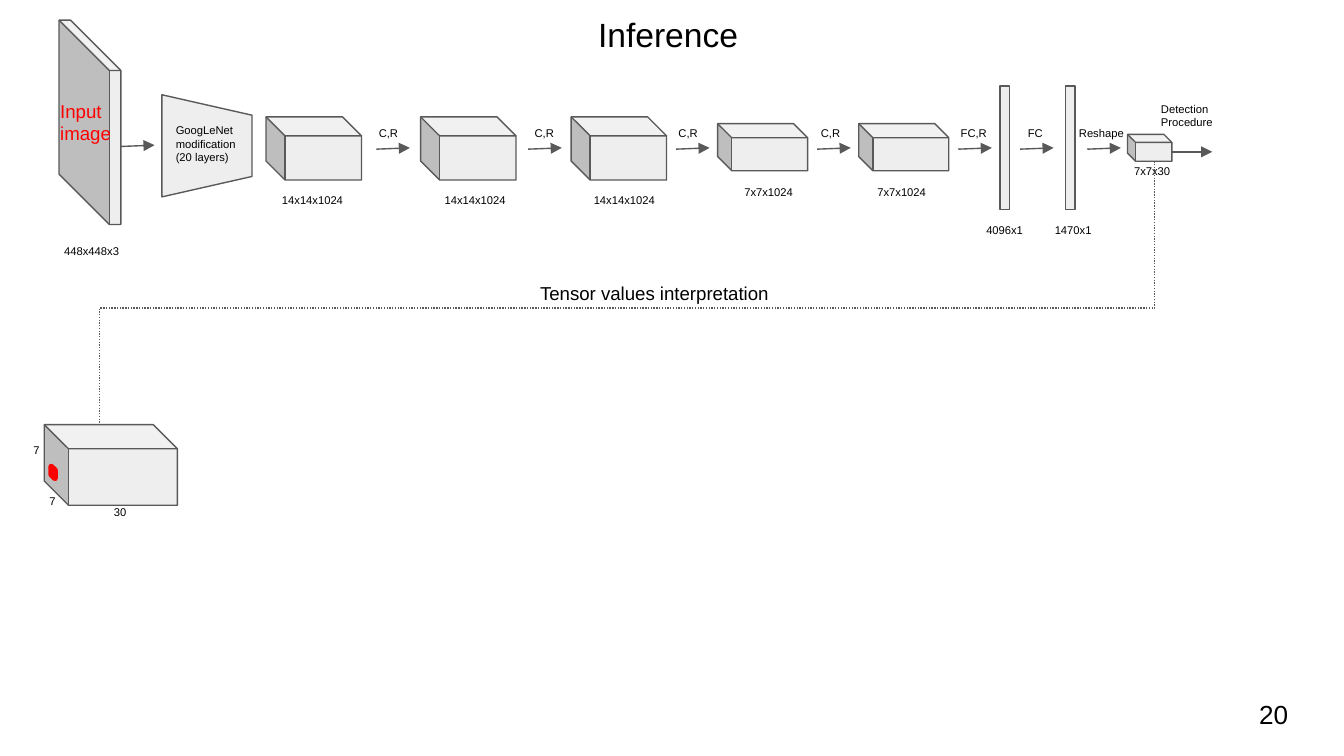
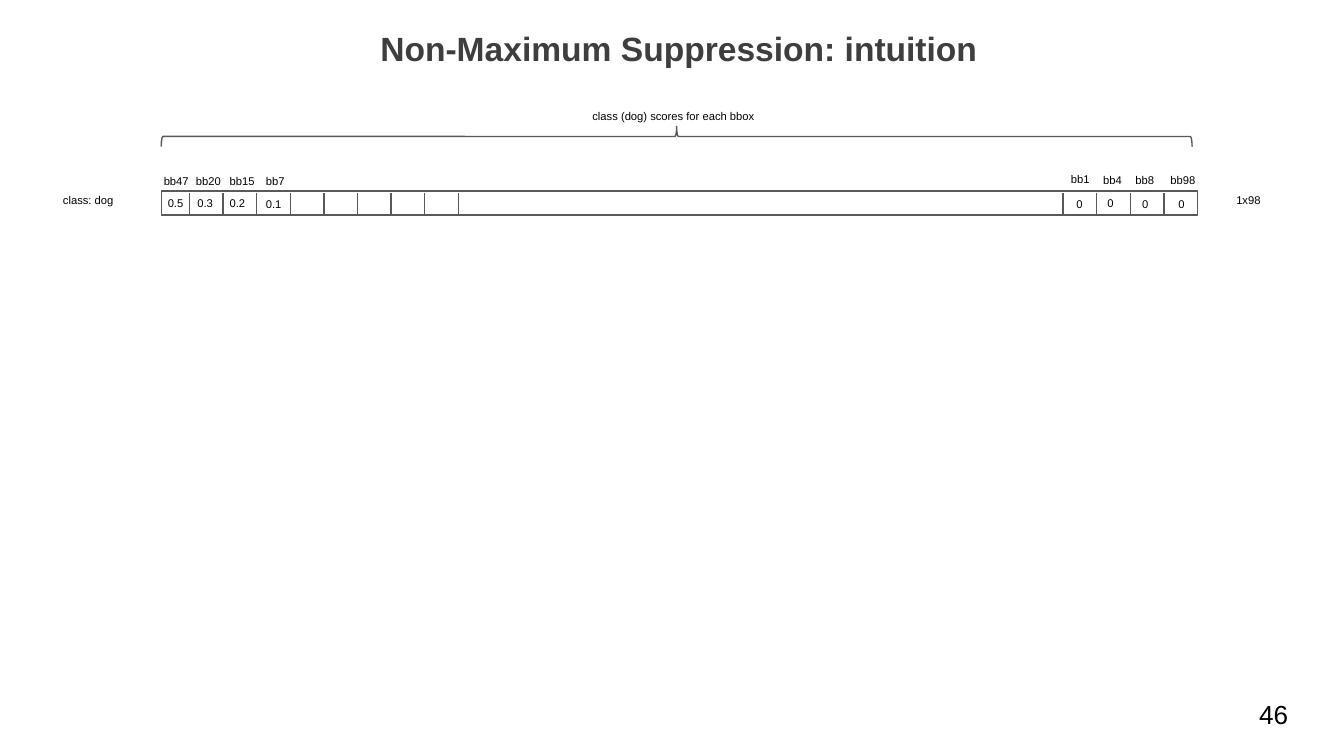
import pptx
import pptx.dml.color
import pptx.enum.dml
import pptx.enum.shapes
import pptx.enum.text
import pptx.oxml.ns
import pptx.util
from lxml import etree

SHAPES = pptx.enum.shapes.MSO_SHAPE
LINKS = pptx.enum.shapes.MSO_CONNECTOR
ANCHORS = pptx.enum.text.MSO_ANCHOR
qn = pptx.oxml.ns.qn

COLUMNS, ROWS = 100, 56.25
WIDTH, HEIGHT = pptx.util.Inches(10), pptx.util.Inches(5.625)


def rgb(value):
    return pptx.dml.color.RGBColor.from_string(value)


def assign(target, values):
    for key, value in values.items():
        setattr(target, key, value)


class Deck:
    """Holds the style and the slide being drawn; lengths are grid columns and rows."""

    INK, LINE, FACE, ACCENT, HEADING = "000000", "595959", "EEEEEE", "FF0000", "3E3E3E"
    FONT, SMALL, MEDIUM, NUMBER, TITLE = "Arial", 6, 10, 14, 18

    def __init__(self):
        self.prs = pptx.Presentation()
        assign(self.prs, {"slide_width": WIDTH, "slide_height": HEIGHT})
        self.slide = None

    def grid(self, *lengths):
        """Turn alternating columns and rows into slide lengths."""
        cells = (WIDTH / COLUMNS, HEIGHT / ROWS)
        return [round(length * cells[i % 2]) for i, length in enumerate(lengths)]

    def start(self, title, box, number, color=INK, bold=False, anchor=ANCHORS.TOP, **spacing):
        """Add a slide with its title and page number."""
        self.slide = self.prs.slides.add_slide(self.prs.slide_layouts[5])
        heading = self.slide.shapes.title
        assign(heading, dict(zip(("left", "top", "width", "height"), self.grid(*box))))
        self.fill_text(heading, title, self.TITLE, color, anchor, bold, **spacing)
        self.text(number, 92.7, 51, 6, 4.3, self.NUMBER, anchor=ANCHORS.MIDDLE)

    def fill_text(self, holder, words, size, color, anchor, bold=False, **spacing):
        frame = holder.text_frame
        frame.text = words
        margins = dict.fromkeys(("margin_left", "margin_top", "margin_right", "margin_bottom"),
                                pptx.util.Inches(0.1))
        assign(frame, {"word_wrap": True, "vertical_anchor": anchor,
                       "auto_size": pptx.enum.text.MSO_AUTO_SIZE.NONE, **margins})
        for paragraph in frame.paragraphs:
            assign(paragraph, {"alignment": pptx.enum.text.PP_ALIGN.LEFT, **spacing})
            assign(paragraph.font, {"name": self.FONT, "size": pptx.util.Pt(size), "bold": bold})
            paragraph.font.color.rgb = rgb(color)

    def text(self, words, x, y, w=6.7, h=2, size=SMALL, color=INK, anchor=ANCHORS.TOP):
        box = self.slide.shapes.add_textbox(*self.grid(x, y, w, h))
        self.fill_text(box, words, size, color, anchor)

    def stroke(self, line, color=LINE, weight=0.75):
        line.color.rgb = rgb(color)
        line.width = pptx.util.Pt(weight)

    def shape(self, kind, x, y, w, h, fill=None, turn=0, adjust=(), color=LINE, weight=0.75):
        """Draw a shape in the box it covers on the slide, also when on its side."""
        if turn % 180:
            x, y, w, h = x + (w - h) / 2, y + (h - w) / 2, h, w
        shape = self.slide.shapes.add_shape(kind, *self.grid(x, y, w, h))
        shape.shadow.inherit = False
        shape.rotation = turn
        for i, value in enumerate(adjust):
            shape.adjustments[i] = value
        if fill:
            shape.fill.solid()
            shape.fill.fore_color.rgb = rgb(fill)
        else:
            shape.fill.background()
        self.stroke(shape.line, color, weight)
        return shape

    def cube(self, x, y, w, h, depth=0.3):
        cube = self.shape(SHAPES.CUBE, x, y, w, h, self.FACE, adjust=[depth])
        cube.element.spPr.find(qn("a:xfrm")).set("flipH", "1")

    def link(self, kind, x1, y1, x2, y2):
        link = self.slide.shapes.add_connector(kind, *self.grid(x1, y1, x2, y2))
        self.stroke(link.line)
        etree.SubElement(link.element.spPr, qn("a:effectLst"))
        return link

    def line(self, x1, y1, x2, y2, arrow=False):
        line = self.link(LINKS.STRAIGHT, x1, y1, x2, y2)
        if arrow:
            outline = line.element.spPr.find(qn("a:ln"))
            etree.SubElement(outline, qn("a:tailEnd")).set("type", "triangle")

    def dotted_drop(self, x1, y1, x2, y2, bend):
        """Elbow that leaves downwards, crosses to x2 and drops on to y2."""
        x, y = (x1 + x2) / 2, (y1 + y2) / 2
        half_w, half_h = (y2 - y1) / 2, (x1 - x2) / 2
        drop = self.link(LINKS.ELBOW, x - half_w, y - half_h, x + half_w, y + half_h)
        drop.line.dash_style = pptx.enum.dml.MSO_LINE.ROUND_DOT
        properties = drop.element.spPr
        properties.find(qn("a:xfrm")).set("rot", str(90 * 60000))
        geometry = properties.find(qn("a:prstGeom"))
        guides = geometry.find(qn("a:avLst"))
        if guides is None:
            guides = etree.SubElement(geometry, qn("a:avLst"))
        guide = etree.SubElement(guides, qn("a:gd"))
        guide.set("name", "adj1")
        guide.set("fmla", f"val {round(bend * 100000)}")


def inference(deck):
    deck.start("Inference", (43.5, 0, 13.8, 4.2), "20")

    # Input image and backbone
    deck.cube(4.4, 1.5, 4.6, 15.2, depth=0.815)
    deck.text("Input\nimage", 3.5, 6.4, size=deck.MEDIUM, color=deck.ACCENT)
    deck.text("448x448x3", 3.8, 17.2)
    deck.line(9, 10.9, 11.5, 10.8, arrow=True)
    deck.shape(SHAPES.FLOWCHART_MANUAL_OPERATION, 12.05, 7.05, 6.7, 7.6, deck.FACE, turn=270)
    deck.text("GoogLeNet modification\n(20 layers)", 12.1, 8.2)

    # Convolution outputs: cube left, size, label left
    large, small = (8.7, 7.1, 4.7, 13.4), (9.2, 6.7, 3.5, 12.8)
    convolutions = [
        (19.8, large, "14x14x1024", 20), (31.3, large, "14x14x1024", 32.1),
        (42.5, large, "14x14x1024", 43.2), (53.4, small, "7x7x1024", 54.4),
        (63.9, small, "7x7x1024", 64.3)]
    for x, (top, width, height, label_top), size, label_x in convolutions:
        deck.cube(x, top, width, height)
        deck.text(size, label_x, label_top)

    # Fully connected layers
    for x, size, label_x in [(74.4, "4096x1", 72.4), (79.3, "1470x1", 77.5)]:
        deck.shape(SHAPES.RECTANGLE, x, 6.4, 0.7, 9.2, deck.FACE)
        deck.text(size, label_x, 15.6, 5.4)

    # Operations between layers: arrow left, name, name left
    operations = [
        (28, "C,R", 27.2), (39.3, "C,R", 38.8), (50.3, "C,R", 49.5), (60.8, "C,R", 60.1),
        (71.3, "FC,R", 70.5), (75.9, "FC", 75.5), (80.9, "Reshape", 79.3)]
    for x, operation, label_x in operations:
        deck.line(x, 11.1, x + 2.5, 11, arrow=True)
        deck.text(operation, label_x, 8.4, 5.4, 2.7)

    # Output tensor and detection
    deck.text("7x7x30", 83.4, 11.2)
    deck.cube(83.9, 10, 3.3, 2)
    deck.line(87.2, 11.3, 90.2, 11.3, arrow=True)
    deck.text("Detection\nProcedure", 85.4, 6.6, 6)

    # Enlarged tensor with its dimensions
    deck.cube(3.3, 31.6, 9.9, 6)
    deck.dotted_drop(85.9, 12, 7.4, 31.6, bend=0.558)
    deck.text("Tensor values interpretation", 39.2, 20, 20.6, size=deck.MEDIUM)
    deck.shape(SHAPES.PARALLELOGRAM, 3.8, 34.7, 0.3, 0.9, turn=90, adjust=[0.969],
               color=deck.ACCENT, weight=3)
    for size, x, y in [("7", 1.5, 32), ("7", 2.7, 35.8), ("30", 7.5, 36.6)]:
        deck.text(size, x, y, 3)


def suppression(deck):
    deck.start("Non-Maximum Suppression: intuition", (27.3, 0.8, 55.9, 5.2), "46",
               color=deck.HEADING, bold=True, anchor=ANCHORS.MIDDLE,
               line_spacing=1.1, space_after=pptx.util.Pt(12))

    # Score row with its cell borders
    deck.text("class: dog", 3.7, 13.4, 7.1, 2.7)
    deck.shape(SHAPES.RECTANGLE, 12, 14.2, 77.1, 1.8)
    deck.text("1x98", 91, 13.4, 7.1, 2.7)
    for first, count in [(14.1, 9), (79.1, 4)]:
        for i in range(count):
            x = first + 2.5 * i
            deck.line(x, 14.4, x, 15.9)

    # Boxes: name, its left and top, score, its left and top
    scores = [
        ("bb47", 11.2, 12, "0.5", 11.5, 13.6), ("bb20", 13.6, 12, "0.3", 13.7, 13.6),
        ("bb15", 16.1, 12, "0.2", 16.1, 13.6), ("bb7", 18.8, 12, "0.1", 18.8, 13.65),
        ("bb1", 78.7, 11.8, "0", 79.1, 13.7), ("bb4", 81.1, 11.9, "0", 81.4, 13.6),
        ("bb8", 83.5, 11.9, "0", 84, 13.7), ("bb98", 86.1, 11.9, "0", 86.7, 13.7)]
    for name, name_x, name_y, score, score_x, score_y in scores:
        deck.text(name, name_x, name_y, 4.2, 2.7)
        deck.text(score, score_x, score_y, 4.2, 2.7)

    # Brace over the row
    deck.text("class (dog) scores for each bbox", 43.1, 7.1, 15, 2.7)
    deck.shape(SHAPES.RIGHT_BRACE, 12, 9.4, 76.7, 1.5, turn=270, adjust=[0.083, 0.5])


def main():
    deck = Deck()
    inference(deck)
    suppression(deck)
    deck.prs.save("out.pptx")


if __name__ == "__main__":
    main()
